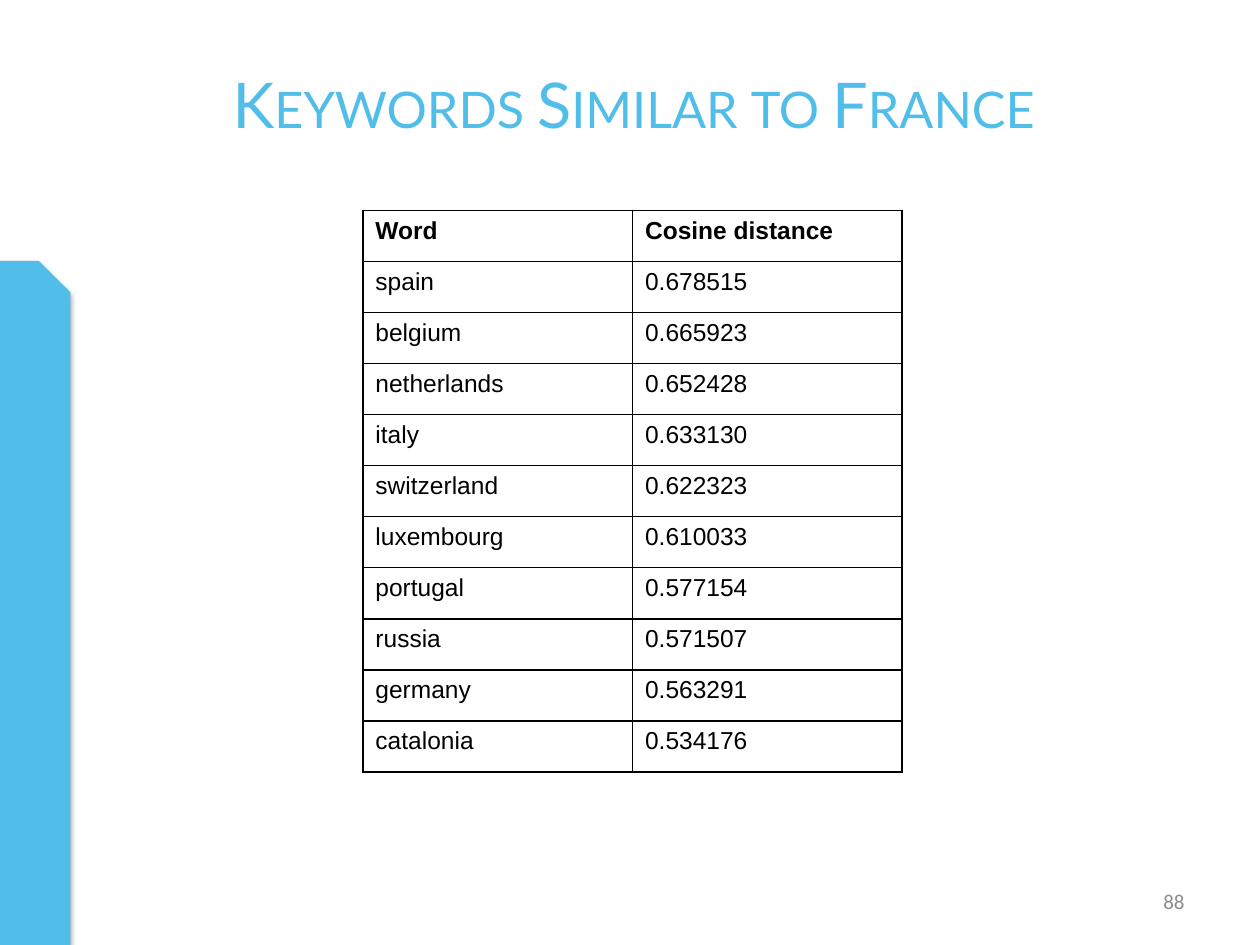
from lxml import etree
from pptx import Presentation, util as u
from pptx.dml.color import RGBColor
from pptx.enum import shapes, text
from pptx.oxml import parse_xml
from pptx.oxml.ns import nsdecls, qn

TITLE = "Keywords Similar to France"
PAGE_NUMBER = "88"
HEADERS = ("Word", "Cosine distance")
SIMILAR_WORDS = [
    ("spain", "0.678515"),
    ("belgium", "0.665923"),
    ("netherlands", "0.652428"),
    ("italy", "0.633130"),
    ("switzerland", "0.622323"),
    ("luxembourg", "0.610033"),
    ("portugal", "0.577154"),
    ("russia", "0.571507"),
    ("germany", "0.563291"),
    ("catalonia", "0.534176"),
]

THEME = {
    "accent": "51BDE9", "ink": "000000", "muted": "8C8C8C",
    "title": ("Lato", 36), "table": ("Arial", 14), "number": ("Calibri", 12),
    "border": 1,
}
BAR_WIDTH, BAR_TOP = 0.56, 2.07
SLIDE_WIDTH, SLIDE_HEIGHT = 10, 7.5
RIGHT_EDGE = 9.5
TABLE_LEFT, TABLE_TOP, COLUMN_WIDTH, TABLE_HEIGHT = 2.88, 1.67, 2.14, 4.46


def style(paragraph, role, color, bold=False):
    font = paragraph.runs[0].font
    font.name, size = THEME[role]
    font.size = u.Pt(size)
    font.bold = bold
    font.color.rgb = RGBColor.from_string(THEME[color])
    return font


def add_label(slide, wording, box, role, color, align):
    label = slide.shapes.add_textbox(*map(u.Inches, box))
    frame = label.text_frame
    frame.word_wrap = True
    frame.vertical_anchor = text.MSO_ANCHOR.MIDDLE
    frame.text = wording
    frame.paragraphs[0].alignment = align
    return style(frame.paragraphs[0], role, color)


def add_side_bar(slide):
    bar = slide.shapes.add_shape(
        shapes.MSO_SHAPE.SNIP_1_RECTANGLE, 0, u.Inches(BAR_TOP),
        u.Inches(BAR_WIDTH), u.Inches(SLIDE_HEIGHT - BAR_TOP))
    bar.adjustments[0] = 0.45
    bar.fill.solid()
    bar.fill.fore_color.rgb = RGBColor.from_string(THEME["accent"])
    bar.line.fill.background()
    bar.shadow.inherit = False
    effects = bar.element.spPr.find(qn("a:effectLst"))
    effects.append(parse_xml(
        f'<a:outerShdw {nsdecls("a")} blurRad="{u.Pt(3.1)}" dist="{u.Pt(1.8)}" '
        f'dir="5400000" rotWithShape="0"><a:srgbClr val="{THEME["ink"]}">'
        '<a:alpha val="35000"/></a:srgbClr></a:outerShdw>'))


def add_borders(cell):
    """Draw all four sides; borders must come before the fill in the cell."""
    properties = cell._tc.get_or_add_tcPr()
    for position, side in enumerate(("lnL", "lnR", "lnT", "lnB")):
        border = etree.Element(qn(f"a:{side}"), w=str(u.Pt(THEME["border"])))
        fill = etree.SubElement(border, qn("a:solidFill"))
        etree.SubElement(fill, qn("a:srgbClr"), val=THEME["ink"])
        properties.insert(position, border)


def add_distance_table(slide):
    rows = [HEADERS, *SIMILAR_WORDS]
    table = slide.shapes.add_table(
        len(rows), len(HEADERS), u.Inches(TABLE_LEFT), u.Inches(TABLE_TOP),
        u.Inches(COLUMN_WIDTH * len(HEADERS)), u.Inches(TABLE_HEIGHT)).table
    table.horz_banding = False
    for row_index, row in enumerate(rows):
        for column_index, value in enumerate(row):
            cell = table.cell(row_index, column_index)
            cell.text = value
            cell.fill.background()
            add_borders(cell)
            style(cell.text_frame.paragraphs[0], "table", "ink",
                  bold=row_index == 0)


def main():
    deck = Presentation()
    deck.slide_width = u.Inches(SLIDE_WIDTH)
    deck.slide_height = u.Inches(SLIDE_HEIGHT)
    slide = deck.slides.add_slide(deck.slide_layouts[6])

    add_side_bar(slide)
    add_label(slide, PAGE_NUMBER, (7.17, 6.95, RIGHT_EDGE - 7.17, 0.4),
              "number", "muted", text.PP_ALIGN.RIGHT)
    title_font = add_label(
        slide, TITLE, (BAR_WIDTH, 0.27, RIGHT_EDGE - BAR_WIDTH, 1.1),
        "title", "accent", text.PP_ALIGN.CENTER)
    title_font._element.set("cap", "small")
    add_distance_table(slide)
    deck.save("out.pptx")


if __name__ == "__main__":
    main()
